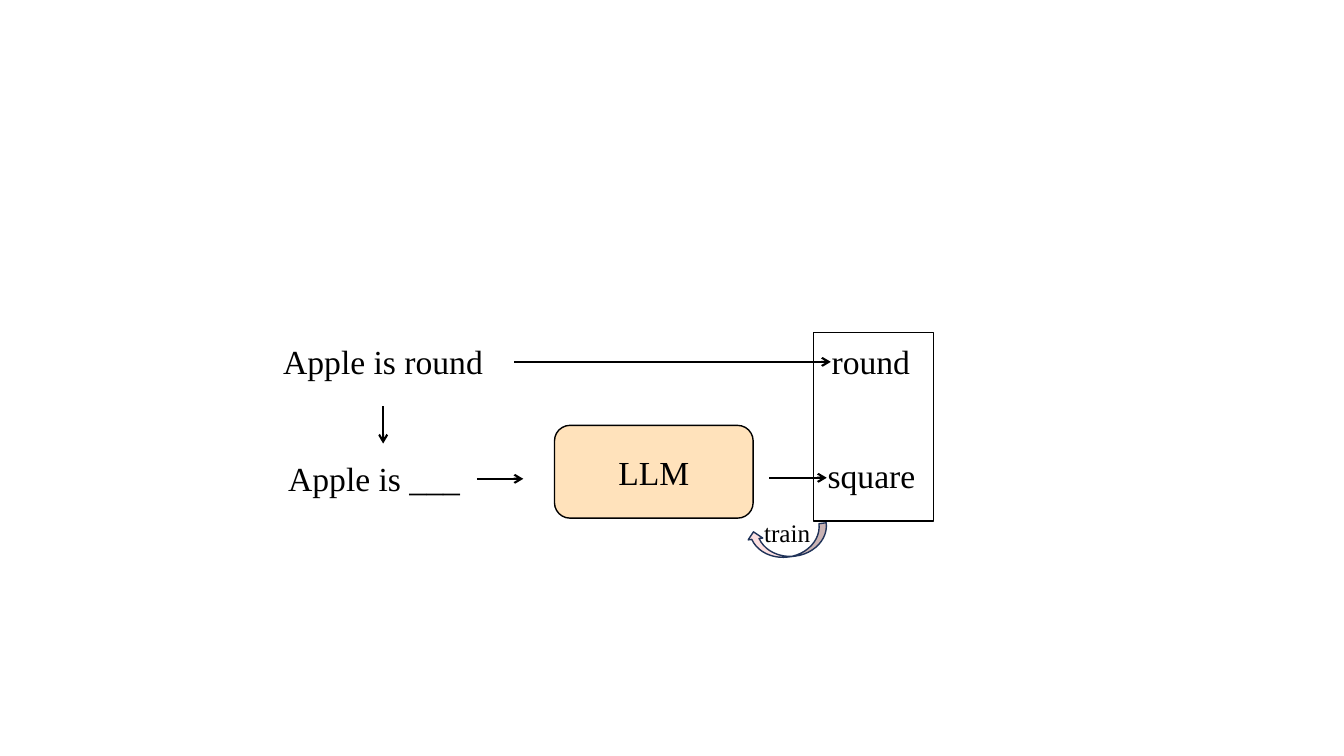
from lxml.etree import SubElement
from pptx import Presentation
from pptx.dml.color import RGBColor
from pptx.enum.shapes import MSO_CONNECTOR, MSO_SHAPE
from pptx.enum.text import MSO_ANCHOR, MSO_AUTO_SIZE, PP_ALIGN
from pptx.oxml.ns import qn
from pptx.util import Inches, Pt

BLACK = RGBColor(0x00, 0x00, 0x00)
PEACH = RGBColor(0xFF, 0xE2, 0xBB)
PINK = RGBColor(0xFC, 0xE0, 0xE1)
NAVY = RGBColor(0x20, 0x33, 0x59)


class Diagram:
    font = "Times New Roman"
    size = 24

    def __init__(self, slide):
        self.s = slide

    def set_text(self, sp, text, size, align):
        p = sp.text_frame.paragraphs[0]
        p.text = text
        p.alignment = align
        font = p.runs[0].font
        font.name, font.size = self.font, Pt(size)
        font.color.rgb = BLACK

    def label(self, text, x, y, w, h=0.5, size=size):
        sp = self.s.shapes.add_textbox(Inches(x), Inches(y), Inches(w), Inches(h))
        tf = sp.text_frame
        tf.word_wrap = True
        tf.auto_size = MSO_AUTO_SIZE.SHAPE_TO_FIT_TEXT
        self.set_text(sp, text, size, PP_ALIGN.LEFT)

    def shape(self, kind, x, y, w, h, fill=None, line=BLACK, text=None, rotation=0):
        sp = self.s.shapes.add_shape(kind, Inches(x), Inches(y), Inches(w), Inches(h))
        sp.shadow.inherit = False
        sp.rotation = rotation
        if fill is None:
            sp.fill.background()
        else:
            sp.fill.solid()
            sp.fill.fore_color.rgb = fill
        sp.line.color.rgb = line
        sp.line.width = Pt(1)
        if text:
            sp.text_frame.vertical_anchor = MSO_ANCHOR.MIDDLE
            self.set_text(sp, text, self.size, PP_ALIGN.CENTER)

    def arrow(self, x1, y1, x2, y2):
        c = self.s.shapes.add_connector(
            MSO_CONNECTOR.STRAIGHT, Inches(x1), Inches(y1), Inches(x2), Inches(y2))
        c.line.color.rgb = BLACK
        c.line.width = Pt(1.5)
        props = c._element.spPr
        SubElement(props.find(qn("a:ln")), qn("a:tailEnd"), type="arrow")
        SubElement(props, qn("a:effectLst"))


def main():
    prs = Presentation()
    prs.slide_width, prs.slide_height = Inches(13.33), Inches(7.5)
    d = Diagram(prs.slides.add_slide(prs.slide_layouts[6]))

    d.shape(MSO_SHAPE.ROUNDED_RECTANGLE, 5.5, 4.22, 1.97, 0.92, PEACH, text="LLM")
    d.label("Apple is ___", 2.76, 4.49, 1.97)
    d.label("round", 8.15, 3.33, 1.03)
    d.label("Apple is round", 2.71, 3.33, 2.33)
    d.label("square", 8.11, 4.46, 1.16)

    d.arrow(4.73, 4.75, 5.19, 4.75)
    d.arrow(7.63, 4.74, 8.2, 4.74)
    d.arrow(3.8, 4.03, 3.8, 4.4)
    d.arrow(5.1, 3.59, 8.24, 3.59)

    d.shape(MSO_SHAPE.RECTANGLE, 8.07, 3.3, 1.19, 1.87)
    d.shape(MSO_SHAPE.CURVED_LEFT_ARROW, 7.67, 4.98, 0.29, 0.8, PINK, NAVY, rotation=82.9)
    d.label("train", 7.48, 5.08, 0.67, 0.4, size=18)

    prs.save("out.pptx")


if __name__ == "__main__":
    main()
